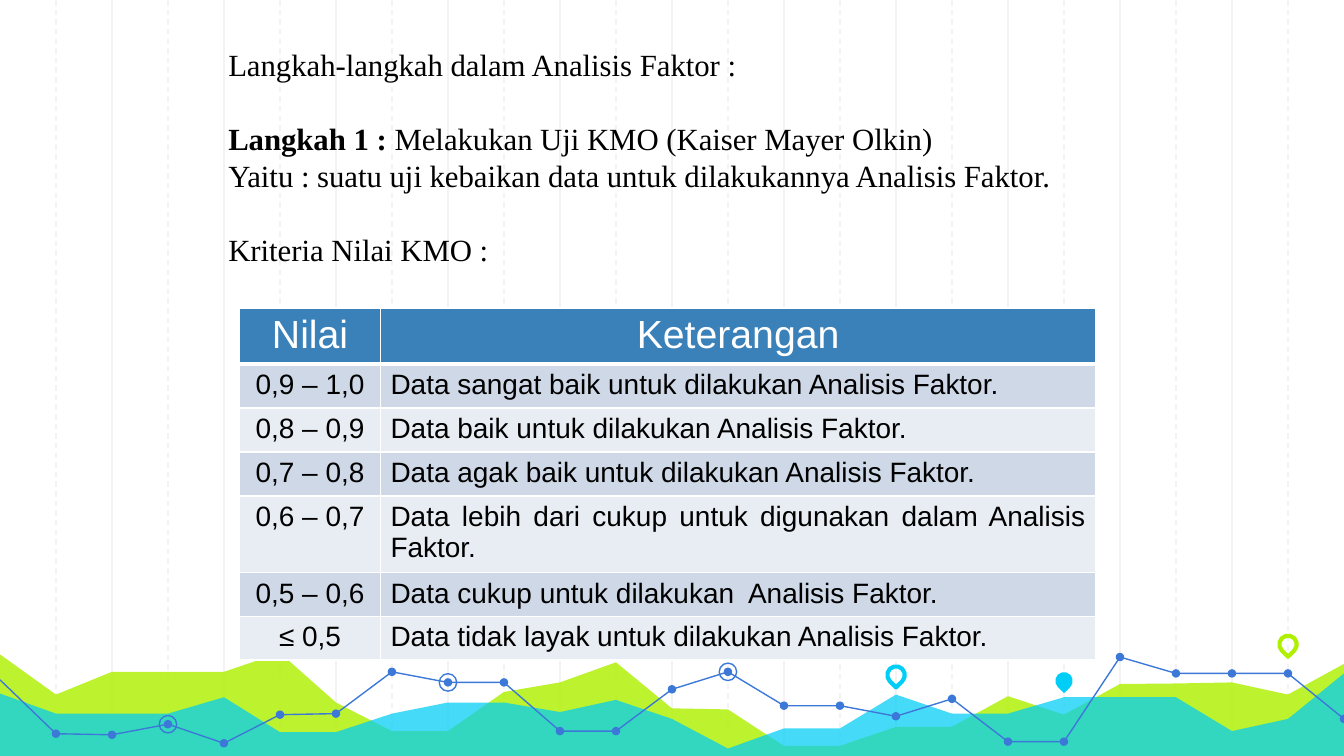
import dataclasses
import typing

import lxml.etree
import pptx
import pptx.dml.color
import pptx.enum.dml
import pptx.enum.shapes
import pptx.enum.text
import pptx.oxml
import pptx.oxml.ns
import pptx.util

Cm = pptx.util.Cm
Pt = pptx.util.Pt
Align = pptx.enum.text.PP_ALIGN
Preset = pptx.enum.shapes.MSO_SHAPE

WIDTH, HEIGHT = 25.4, 14.29
COLUMNS = 24
STEP = WIDTH / COLUMNS
GRID, BLUE, LIME, CYAN = "F3F3F3", "3C78D8", "AFF000", "00CEF6"
LINE_PITCH = 19.8


@dataclasses.dataclass
class Area:
    color: str
    opacity: int
    heights: list[float]


@dataclasses.dataclass
class Marker:
    column: int
    y: float
    size: float
    preset: typing.Any
    fill: str | None = None
    line: str | None = None
    weight: float = 0.75
    rotation: float = 0


@dataclasses.dataclass
class Span:
    text: str
    bold: bool = False


# Heights in cm, one for every grid column from the left edge to the right
AREAS = [
    Area(LIME, 82, [12.37, 13.13, 12.7, 12.7, 12.7, 12.34, 13.28, 13.82, 13.82,
                    13.08, 12.9, 12.52, 13.39, 13.41, 14.1, 14.1, 13.74, 13.74,
                    13.16, 13.51, 12.93, 12.92, 12.9, 13.13, 12.55]),
    Area(CYAN, 73, [13.11, 13.49, 13.49, 13.49, 13.18, 13.84, 13.84, 13.49, 13.28,
                    13.28, 13.46, 13.23, 13.59, 14.15, 13.77, 13.77, 13.13, 13.49,
                    13.49, 13.18, 13.18, 13.18, 13.82, 13.59, 12.73]),
]
TREND = [12.85, 13.87, 13.89, 13.69, 14.05, 13.51, 13.49, 12.7, 12.9, 12.9, 13.82,
         13.82, 13.03, 12.7, 13.34, 13.34, 13.54, 13.21, 14.02, 14.02, 12.42,
         12.73, 12.73, 12.73, 13.59]
TREND_PARTS = [(0, 11), (11, 20), (20, 24)]
RINGED_COLUMNS = [3, 8, 13]
PINS = [
    Marker(16, 12.76, 0.33, Preset.TEAR, line=CYAN, weight=2.25, rotation=135),
    Marker(19, 12.87, 0.33, Preset.TEAR, fill=CYAN, rotation=135),
    Marker(23, 12.18, 0.33, Preset.TEAR, line=LIME, weight=2.25, rotation=135),
]

HEADING = [[Span("Langkah-langkah dalam Analisis Faktor :")]]
STEPS = [
    [Span("Langkah 1 : ", True), Span("Melakukan Uji KMO (Kaiser Mayer Olkin)")],
    [Span("Yaitu : suatu uji kebaikan data untuk dilakukannya Analisis Faktor.")],
    [Span("Kriteria Nilai KMO :")],
]
CRITERIA = [
    ("Nilai", "Keterangan"),
    ("0,9 – 1,0", "Data sangat baik untuk dilakukan Analisis Faktor."),
    ("0,8 – 0,9", "Data baik untuk dilakukan Analisis Faktor."),
    ("0,7 – 0,8", "Data agak baik untuk dilakukan Analisis Faktor."),
    ("0,6 – 0,7", "Data lebih dari cukup untuk digunakan dalam Analisis Faktor."),
    ("0,5 – 0,6", "Data cukup untuk dilakukan  Analisis Faktor."),
    ("≤ 0,5", "Data tidak layak untuk dilakukan Analisis Faktor."),
]
COLUMN_WIDTHS = [2.66, 13.52]
ROW_HEIGHTS = [1.06, 0.83, 0.83, 0.83, 1.45, 0.83, 0.83]


def rgb(color: str) -> pptx.dml.color.RGBColor:
    return pptx.dml.color.RGBColor.from_string(color)


def paint(shape, fill: str | None = None, line: str | None = None, weight: float = 0.75) -> None:
    shape.shadow.inherit = False
    if fill:
        shape.fill.solid()
        shape.fill.fore_color.rgb = rgb(fill)
    else:
        shape.fill.background()
    if line:
        shape.line.color.rgb = rgb(line)
        shape.line.width = Pt(weight)
    else:
        shape.line.fill.background()


def draw_grid_line(page, column: int) -> None:
    x = Cm(column * STEP)
    line = page.shapes.add_connector(
        pptx.enum.shapes.MSO_CONNECTOR.STRAIGHT, x, Cm(0), x, Cm(HEIGHT))
    line.line.color.rgb = rgb(GRID)
    line.line.width = Pt(0.75)
    if column % 2:
        line.line.dash_style = pptx.enum.dml.MSO_LINE.DASH
    lxml.etree.SubElement(line._element.spPr, pptx.oxml.ns.qn("a:effectLst"))


def draw_outline(page, points: list[tuple[float, float]], close: bool):
    corners = [(Cm(x), Cm(y)) for x, y in points]
    builder = page.shapes.build_freeform(*corners[0])
    builder.add_line_segments(corners[1:], close=close)
    return builder.convert_to_shape()


def draw_area(page, area: Area) -> None:
    ridge = [(column * STEP, y) for column, y in enumerate(area.heights)]
    shape = draw_outline(page, ridge + [(WIDTH, HEIGHT), (0, HEIGHT)], True)
    paint(shape, fill=area.color)
    color = shape._element.spPr.find(".//" + pptx.oxml.ns.qn("a:srgbClr"))
    alpha = lxml.etree.SubElement(color, pptx.oxml.ns.qn("a:alpha"))
    alpha.set("val", str(area.opacity * 1000))


def draw_marker(page, marker: Marker) -> None:
    shape = page.shapes.add_shape(
        marker.preset, Cm(marker.column * STEP - marker.size / 2),
        Cm(marker.y - marker.size / 2), Cm(marker.size), Cm(marker.size))
    shape.rotation = marker.rotation
    paint(shape, marker.fill, marker.line, marker.weight)


def fill_placeholder(page, box, top: float, height: float, lines: list[list[Span]]) -> None:
    box.left, box.top, box.width, box.height = Cm(4.06), Cm(top), Cm(17.12), Cm(height)
    page.shapes._spTree.append(box._element)  # in front of the grid
    frame = box.text_frame
    frame.word_wrap = True
    frame.auto_size = pptx.enum.text.MSO_AUTO_SIZE.NONE
    frame.vertical_anchor = pptx.enum.text.MSO_ANCHOR.TOP
    for index, spans in enumerate(lines):
        para = frame.add_paragraph() if index else frame.paragraphs[0]
        properties = para._p.get_or_add_pPr()
        properties.set("marL", "0")
        properties.set("indent", "0")
        lxml.etree.SubElement(properties, pptx.oxml.ns.qn("a:buNone"))
        para.alignment = Align.JUSTIFY
        para.line_spacing = Pt(LINE_PITCH)
        para.space_before = Pt(LINE_PITCH if index == 2 else 0)
        for span in spans:
            run = para.add_run()
            run.text = span.text
            set_font(run.font, "Times New Roman", 16.5, "000000", span.bold)


def set_font(font, name: str, size: float, color: str, bold: bool = False) -> None:
    font.name, font.size, font.bold = name, Pt(size), bold
    font.color.rgb = rgb(color)


def set_borders(cell, row: int) -> None:
    weights = {"L": 1, "R": 1, "T": 3 if row == 1 else 1, "B": 1 if row else 3}
    for side, weight in weights.items():
        cell._tc.get_or_add_tcPr().append(pptx.oxml.parse_xml(
            f'<a:ln{side} {pptx.oxml.ns.nsdecls("a")} w="{weight * 12700}">'
            f'<a:solidFill><a:srgbClr val="FFFFFF"/></a:solidFill></a:ln{side}>'))


def draw_criteria(page) -> None:
    table = page.shapes.add_table(
        len(CRITERIA), len(COLUMN_WIDTHS), Cm(4.53), Cm(5.82),
        Cm(sum(COLUMN_WIDTHS)), Cm(sum(ROW_HEIGHTS))).table
    for column, width in zip(table.columns, COLUMN_WIDTHS):
        column.width = Cm(width)
    for row, texts in enumerate(CRITERIA):
        table.rows[row].height = Cm(ROW_HEIGHTS[row])
        for column, text in enumerate(texts):
            cell = table.cell(row, column)
            cell.margin_left = cell.margin_right = Cm(0.19)
            cell.margin_top = cell.margin_bottom = Cm(0.1)
            set_borders(cell, row)
            cell.fill.solid()
            cell.fill.fore_color.rgb = rgb(
                "3A81BA" if row == 0 else "CED8E7" if row % 2 else "E8EDF3")
            para = cell.text_frame.paragraphs[0]
            para.alignment = Align.JUSTIFY if row and column else Align.CENTER
            run = para.add_run()
            run.text = text
            set_font(run.font, "Arial", 15 if row else 21, "000000" if row else "FFFFFF")


def main() -> None:
    deck = pptx.Presentation()
    deck.slide_width, deck.slide_height = Cm(WIDTH), Cm(HEIGHT)
    page = deck.slides.add_slide(deck.slide_layouts[1])

    # Background grid and landscape
    for column in range(1, COLUMNS):
        draw_grid_line(page, column)
    for area in AREAS:
        draw_area(page, area)

    # Trend line with its dots, rings and pins
    for first, last in TREND_PARTS:
        points = [(column * STEP, TREND[column]) for column in range(first, last + 1)]
        paint(draw_outline(page, points, False), line=BLUE)
    dots = [Marker(c, TREND[c], 0.16, Preset.OVAL, fill=BLUE) for c in range(1, COLUMNS + 1)]
    rings = [Marker(c, TREND[c], 0.33, Preset.OVAL, line=BLUE) for c in RINGED_COLUMNS]
    for marker in dots + rings + PINS:
        draw_marker(page, marker)

    # Text and table
    fill_placeholder(page, page.shapes.title, 0.74, 0.96, HEADING)
    fill_placeholder(page, page.placeholders[1], 2.13, 3.1, STEPS)
    draw_criteria(page)
    deck.save("out.pptx")


if __name__ == "__main__":
    main()
